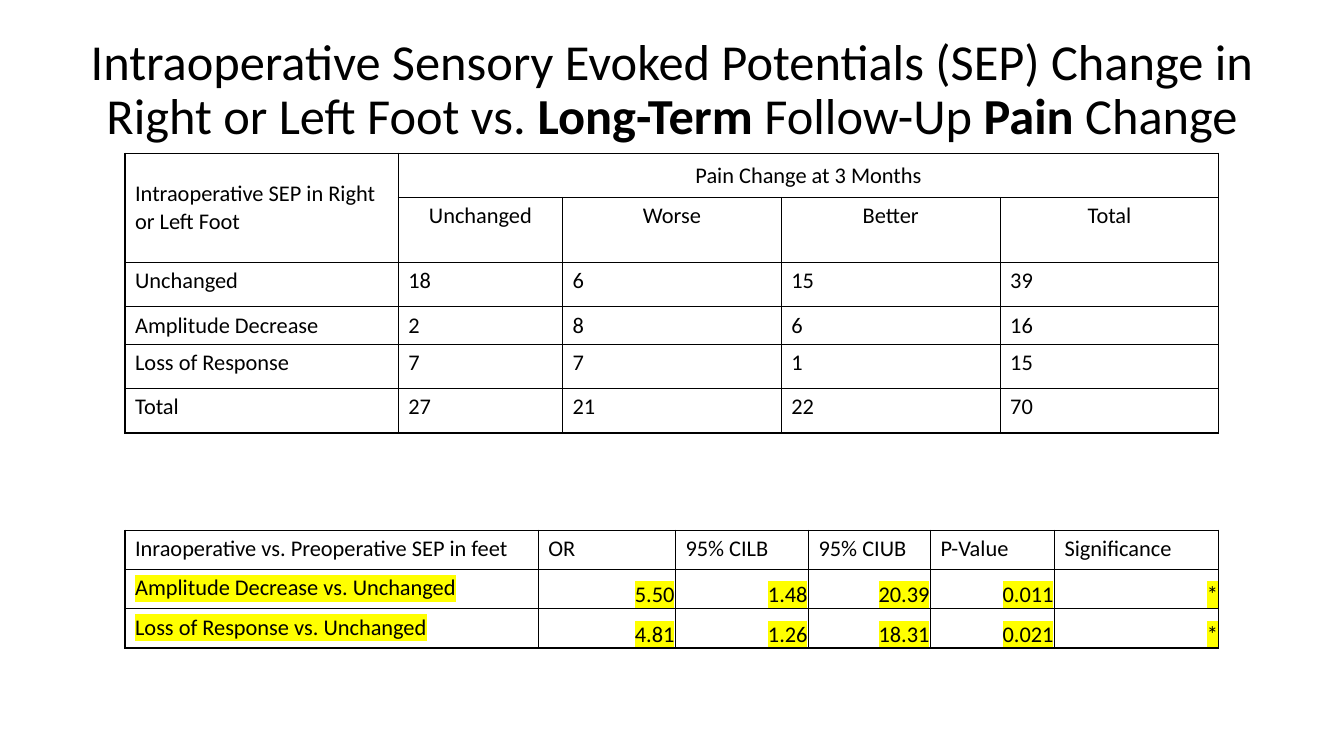
from lxml import etree
from pptx import Presentation
from pptx.dml.color import RGBColor
from pptx.enum import text
from pptx.oxml import ns
from pptx.util import Inches, Pt

BLACK = RGBColor(0, 0, 0)
YELLOW = RGBColor(0xFF, 0xFF, 0)
FONT = "Calibri"
TABLE_LEFT = 1.24

TITLE = [
    ("Intraoperative Sensory Evoked Potentials (SEP) Change in Right or Left Foot vs. ", False),
    ("Long-Term ", True),
    ("Follow-Up ", False),
    ("Pain ", True),
    ("Change", False),
]
PAIN_COUNTS = [
    ["Intraoperative SEP in Right or Left Foot", "Pain Change at 3 Months", "", "", ""],
    ["", "Unchanged", "Worse", "Better", "Total"],
    ["Unchanged", "18", "6", "15", "39"],
    ["Amplitude Decrease", "2", "8", "6", "16"],
    ["Loss of Response", "7", "7", "1", "15"],
    ["Total", "27", "21", "22", "70"],
]
ODDS_RATIOS = [
    ["Inraoperative vs. Preoperative SEP in feet", "OR", "95% CILB", "95% CIUB",
     "P-Value", "Significance"],
    ["Amplitude Decrease vs. Unchanged", "5.50", "1.48", "20.39", "0.011", "*"],
    ["Loss of Response vs. Unchanged", "4.81", "1.26", "18.31", "0.021", "*"],
]


def style_font(font, size, bold=False):
    font.name = FONT
    font.size = Pt(size)
    font.bold = bold
    font.color.rgb = BLACK


def add_title(slide):
    title = slide.shapes.title
    title.left, title.top = Inches(0.74), Inches(0.29)
    title.width, title.height = Inches(11.85), Inches(1.23)
    frame = title.text_frame
    frame.word_wrap = True
    frame.auto_size = text.MSO_AUTO_SIZE.NONE
    frame.vertical_anchor = text.MSO_ANCHOR.MIDDLE
    heading = frame.paragraphs[0]
    heading.alignment = text.PP_ALIGN.CENTER
    heading.line_spacing = 0.9
    for words, bold in TITLE:
        run = heading.add_run()
        run.text = words
        style_font(run.font, 36, bold)


def add_borders(cell):
    properties = cell._tc.get_or_add_tcPr()
    for side in ("lnL", "lnR", "lnT", "lnB"):
        line = etree.SubElement(properties, ns.qn(f"a:{side}"), w=str(Pt(1)))
        fill = etree.SubElement(line, ns.qn("a:solidFill"))
        etree.SubElement(fill, ns.qn("a:srgbClr"), val=str(BLACK))


def highlight(run):
    fill = run._r.get_or_add_rPr().find(ns.qn("a:solidFill"))
    marker = etree.Element(ns.qn("a:highlight"))
    etree.SubElement(marker, ns.qn("a:srgbClr"), val=str(YELLOW))
    fill.addnext(marker)


def add_grid(slide, top, widths, heights, rows):
    """Add a plain black-ruled table and return it."""
    frame = slide.shapes.add_table(
        len(rows), len(widths), Inches(TABLE_LEFT), Inches(top),
        Inches(sum(widths)), Inches(sum(heights)))
    table = frame.table
    table.first_row = table.horz_banding = False
    for column, width in zip(table.columns, widths):
        column.width = Inches(width)
    for row, height, values in zip(table.rows, heights, rows):
        row.height = Inches(height)
        for cell, value in zip(row.cells, values):
            add_borders(cell)
            cell.fill.background()
            cell.text = value
            for run in cell.text_frame.paragraphs[0].runs:
                style_font(run.font, 16)
    return table


def add_pain_table(slide):
    table = add_grid(slide, 1.52, [2.71, 1.63, 2.17, 2.17, 2.17],
                     [0.44, 0.64, 0.44, 0.37, 0.44, 0.44], PAIN_COUNTS)
    table.cell(0, 0).merge(table.cell(1, 0))
    table.cell(0, 1).merge(table.cell(0, 4))
    for column in (0, 1):
        table.cell(0, column).vertical_anchor = text.MSO_ANCHOR.MIDDLE
    headings = [table.cell(0, 1)] + [table.cell(1, column) for column in range(1, 5)]
    for cell in headings:
        cell.text_frame.paragraphs[0].alignment = text.PP_ALIGN.CENTER


def add_odds_table(slide):
    table = add_grid(slide, 5.26, [4.1, 1.36, 1.32, 1.21, 1.23, 1.63],
                     [0.39] * 3, ODDS_RATIOS)
    for row in (1, 2):
        for column in range(len(table.columns)):
            cell = table.cell(row, column)
            paragraph = cell.text_frame.paragraphs[0]
            highlight(paragraph.runs[0])
            if column > 0:
                paragraph.alignment = text.PP_ALIGN.RIGHT
                cell.vertical_anchor = text.MSO_ANCHOR.BOTTOM
                cell.margin_left = cell.margin_right = cell.margin_top = Inches(0.01)
                cell.margin_bottom = 0


def main():
    deck = Presentation()
    deck.slide_width, deck.slide_height = Inches(13.33), Inches(7.5)
    slide = deck.slides.add_slide(deck.slide_layouts[5])
    add_title(slide)
    add_pain_table(slide)
    add_odds_table(slide)
    deck.save("out.pptx")


if __name__ == "__main__":
    main()
